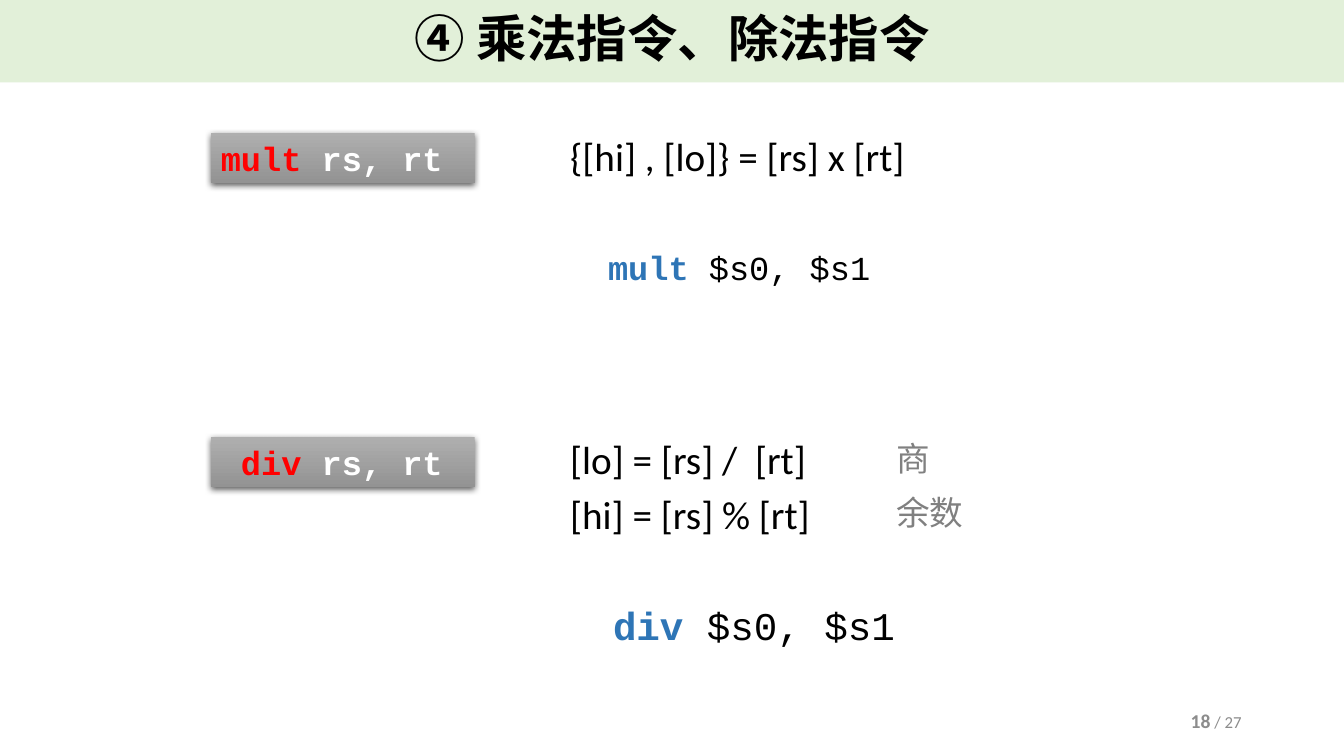
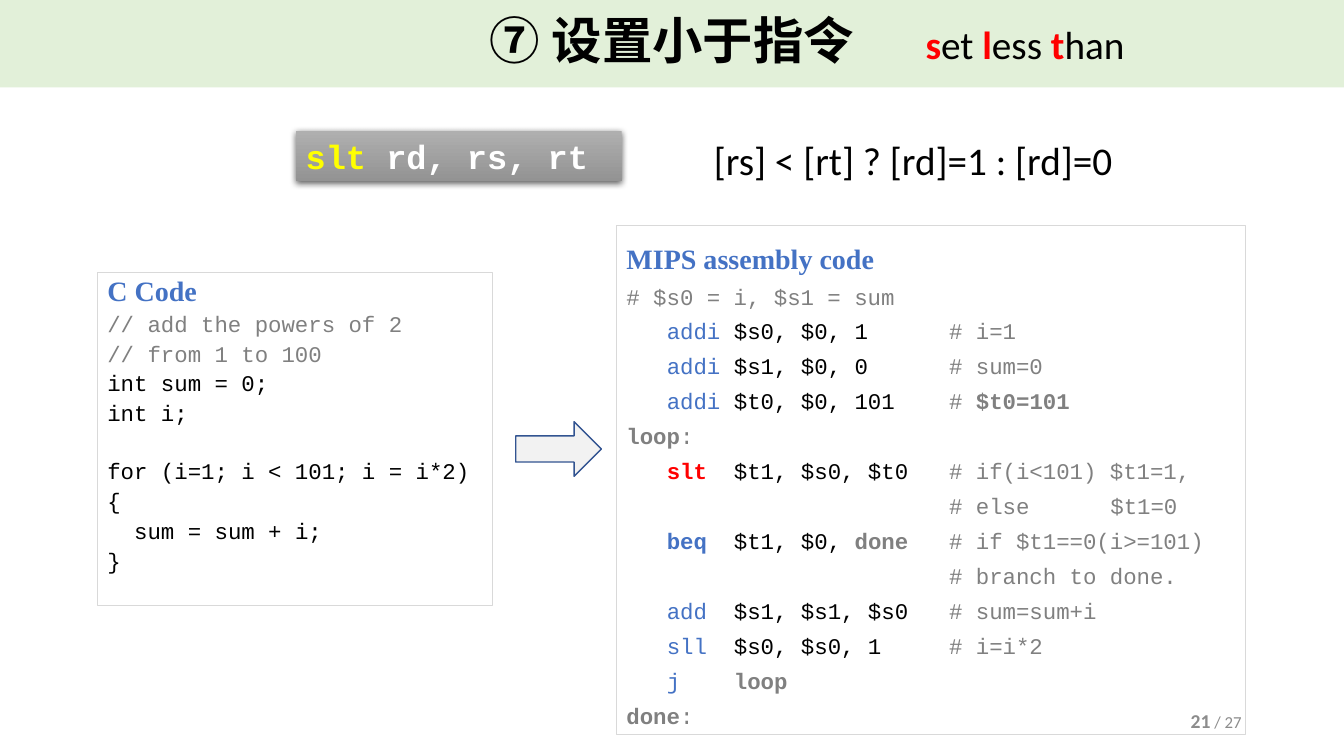
from dataclasses import dataclass
from lxml.etree import SubElement
from pptx import Presentation
from pptx.dml.color import RGBColor
from pptx.enum.shapes import MSO_SHAPE
from pptx.enum.text import MSO_ANCHOR, MSO_AUTO_SIZE, PP_ALIGN
from pptx.oxml.ns import qn
from pptx.util import Inches, Pt


@dataclass(frozen=True)
class Theme:
    band: str = "E2F0D9"
    top: str = "AFAFAF"
    foot: str = "939393"
    edge: str = "D9D9D9"
    arrow: str = "F2F2F2"
    rim: str = "325491"
    black: str = "000000"
    white: str = "FFFFFF"
    red: str = "FF0000"
    gold: str = "FFFF00"
    blue: str = "4472C4"
    deep: str = "2E75B6"
    gray: str = "808080"
    pale: str = "8C8C8C"
    sans: str = "Calibri"
    mono: str = "Courier New"
    serif: str = "Times New Roman"
    title: int = 36
    large: int = 28
    mid: int = 24
    head: int = 20
    code: int = 16
    page: int = 14
    total: int = 12


T = Theme()
RGB = RGBColor.from_string

# Square grid: 16 columns by 9 rows
deck = Presentation()
deck.slide_width, deck.slide_height = Inches(13.33), Inches(7.5)
COL, ROW = deck.slide_width / 16, deck.slide_height / 9


def place(slide, kind, x, y, w, h):
    """Add a preset shape, or a text box when kind is None."""
    spot = [int(v) for v in (x * COL, y * ROW, w * COL, h * ROW)]
    if kind is None:
        return slide.shapes.add_textbox(*spot)
    shape = slide.shapes.add_shape(kind, *spot)
    shape.shadow.inherit = False
    return shape


def write(par, runs, face, size):
    """Fill a paragraph with (text, colour, bold) runs."""
    par.font.name, par.font.size = face, Pt(size)
    inks, bolds = {r[1] for r in runs}, {r[2] for r in runs}
    if len(inks) == 1:
        par.font.color.rgb = RGB(runs[0][1])
    if len(bolds) == 1:
        par.font.bold = runs[0][2]
    for text, ink, bold in runs:
        run = par.add_run()
        run.text = text
        if len(inks) > 1:
            run.font.color.rgb = RGB(ink)
        if len(bolds) > 1:
            run.font.bold = bold


# Slide content: chips are (x, y, w, keyword, colour, operands),
# notes are (x, y, w, h, face, size, lines)
PAGES = [
    ("④ 乘法指令、除法指令", 0.98, "18",
     [(2.51, 1.58, 3.14, "mult ", T.red, "rs, rt"),
      (2.51, 5.2, 3.14, " div ", T.red, "rs, rt")],
     [(6.67, 1.51, 4.27, 0.68, T.sans, T.large,
       [[("{[hi] , [lo]} = [rs] x [rt]", T.black, False)]]),
      (6.67, 5.12, 3.13, 1.36, T.sans, T.large,
       [[("[lo] = [rs] /  [rt]", T.black, False)],
        [("[hi] = [rs] % [rt]", T.black, False)]]),
      (7.12, 2.88, 3.38, 0.6, T.mono, T.mid,
       [[("mult", T.deep, True), (" $s0, $s1", T.black, False)]]),
      (10.55, 5.15, 0.65, 0.6, T.serif, T.mid,
       [[("商", T.gray, False)]]),
      (10.55, 5.8, 1.06, 0.6, T.serif, T.mid,
       [[("余数", T.gray, False)]]),
      (7.18, 7.1, 3.62, 0.68, T.mono, T.large,
       [[("div", T.deep, True), (" $s0, $s1", T.black, False)]])]),
    ("⑦ 设置小于指令", 1.04, "21",
     [(3.52, 1.56, 3.88, "slt ", T.gold, "rd, rs, rt")],
     [(8.38, 1.56, 5.05, 0.68, T.sans, T.large,
       [[("[rs] < [rt] ? [rd]=1 : [rd]=0", T.black, False)]]),
      (10.9, 0.18, 2.64, 0.68, T.sans, T.large,
       [[("s", T.red, True), ("et ", T.black, False),
         ("l", T.red, True), ("ess ", T.black, False),
         ("t", T.red, True), ("han", T.black, False)]])]),
]

for name, tall, num, chips, notes in PAGES:
    slide = deck.slides.add_slide(deck.slide_layouts[5])

    # Title band
    title = slide.shapes.title
    title.left, title.top = 0, 0
    title.width, title.height = deck.slide_width, int(tall * ROW)
    title.fill.solid()
    title.fill.fore_color.rgb = RGB(T.band)
    frame = title.text_frame
    frame.auto_size = MSO_AUTO_SIZE.NONE
    frame.vertical_anchor = MSO_ANCHOR.MIDDLE
    par = frame.paragraphs[0]
    par.alignment, par.line_spacing = PP_ALIGN.CENTER, 0.9
    write(par, [(name, T.black, True)], T.sans, T.title)

    # Instruction chips
    for x, y, w, word, ink, args in chips:
        chip = place(slide, MSO_SHAPE.RECTANGLE, x, y, w, 0.6)
        chip.line.fill.background()
        chip.fill.gradient()
        chip.fill.gradient_angle = 270
        for stop, tint in zip(chip.fill.gradient_stops, (T.top, T.foot)):
            stop.color.rgb = RGB(tint)
        for at, stop in enumerate(chip.fill.gradient_stops):
            stop.position = at
        glow = SubElement(chip._element.spPr.find(qn("a:effectLst")),
                          qn("a:outerShdw"), blurRad=str(Pt(4.5)),
                          dist=str(Pt(1.5)), dir="5400000", rotWithShape="0")
        dark = SubElement(glow, qn("a:srgbClr"), val=T.black)
        SubElement(dark, qn("a:alpha"), val="63000")
        chip.text_frame.vertical_anchor = MSO_ANCHOR.TOP
        par = chip.text_frame.paragraphs[0]
        par.alignment = PP_ALIGN.LEFT
        write(par, [(word, ink, True), (args, T.white, True)], T.mono, T.mid)

    # Notes beside the chips
    for x, y, w, h, face, size, lines in notes:
        frame = place(slide, None, x, y, w, h).text_frame
        frame.word_wrap = False
        frame.auto_size = MSO_AUTO_SIZE.SHAPE_TO_FIT_TEXT
        for at, runs in enumerate(lines):
            par = frame.add_paragraph() if at else frame.paragraphs[0]
            if len(lines) > 1:
                par.space_after = Pt(6)
            write(par, runs, face, size)

    # Page number
    frame = place(slide, None, 11.3, 8.34, 3.6, 0.48).text_frame
    frame.word_wrap = True
    frame.vertical_anchor = MSO_ANCHOR.MIDDLE
    par = frame.paragraphs[0]
    par.alignment = PP_ALIGN.RIGHT
    write(par, [(num, T.pale, True), (" / 27", T.pale, False)],
          T.sans, T.page)
    par.runs[1].font.size = Pt(T.total)

# C listing
source = [[("C Code", T.blue, True)]]
source += [[(text, T.gray, False)] for text in
           ("// add the powers of 2", "// from 1 to 100")]
source += [[(text, T.black, False)] for text in
           ("int sum = 0;", "int i;", "for (i=1; i < 101; i = i*2)", "{",
            "\tsum = sum + i;", "}")]

# Assembly listing: (operation, colour, bold, operands, label, comment)
steps = [
    ("addi", T.blue, False, "$s0, $0, 1", "", "# i=1"),
    ("addi", T.blue, False, "$s1, $0, 0", "", "# sum=0"),
    ("addi", T.blue, False, "$t0, $0, 101", "", "# "),
    ("slt", T.red, True, "$t1, $s0, $t0", "", "# if(i<101) $t1=1,"),
    ("", T.gray, False, "", "", "# else\t$t1=0"),
    ("beq", T.blue, True, "$t1, $0, ", "done", "# if $t1==0(i>=101)"),
    ("", T.gray, False, "", "", "# branch to done."),
    ("add", T.blue, False, "$s1, $s1, $s0", "", "# sum=sum+i"),
    ("sll", T.blue, False, "$s0, $s0, 1", "", "# i=i*2"),
    ("j", T.blue, False, "", "loop", ""),
]
target = []
for verb, ink, bold, args, label, hint in steps:
    runs = [("\t" + verb, ink, bold), ("\t" + args, T.black, False),
            (label, T.gray, True), ("\t" + hint, T.gray, False)]
    target.append([run for run in runs if run[0]])
target[2].append(("$t0=101", T.gray, True))
loop, done = ([(mark, T.gray, True), (":", T.gray, False)]
              for mark in ("loop", "done"))
target = [[("MIPS assembly code", T.blue, True)],
          [("# $s0 = i, $s1 = sum", T.gray, False)],
          *target[:3], loop, *target[3:], done]

# Code panels, with tab stops counted in characters
CHAR = Pt(T.code * 0.6)
PANELS = [
    ((1.16, 3.24, 4.7, 3.97), source, 0.9, 4, (2,)),
    ((7.34, 2.69, 7.49, 6.06), target, 1.3, 0, (3, 8, 24, 36)),
]
for spot, lines, pitch, lead, stops in PANELS:
    panel = place(slide, MSO_SHAPE.RECTANGLE, *spot)
    panel.fill.background()
    panel.line.color.rgb = RGB(T.edge)
    panel.line.width = Pt(0.75)
    frame = panel.text_frame
    frame.vertical_anchor = MSO_ANCHOR.TOP
    for at, runs in enumerate(lines):
        par = frame.add_paragraph() if at else frame.paragraphs[0]
        par.alignment, par.line_spacing = PP_ALIGN.LEFT, pitch
        gap = 20.4 if runs[0][0].startswith("for") else 0
        par.space_before = Pt(lead + gap)
        tabs = SubElement(par._p.get_or_add_pPr(), qn("a:tabLst"))
        for stop in stops:
            SubElement(tabs, qn("a:tab"), pos=str(stop * CHAR), algn="l")
        face, size = (T.mono, T.code) if at else (T.serif, T.head)
        write(par, runs, face, size)

# Arrow from C to assembly
arrow = place(slide, MSO_SHAPE.RIGHT_ARROW, 6.14, 5.02, 1.02, 0.65)
arrow.adjustments[0] = 0.48
arrow.fill.solid()
arrow.fill.fore_color.rgb = RGB(T.arrow)
arrow.line.color.rgb = RGB(T.rim)
arrow.line.width = Pt(1)

deck.save("out.pptx")
